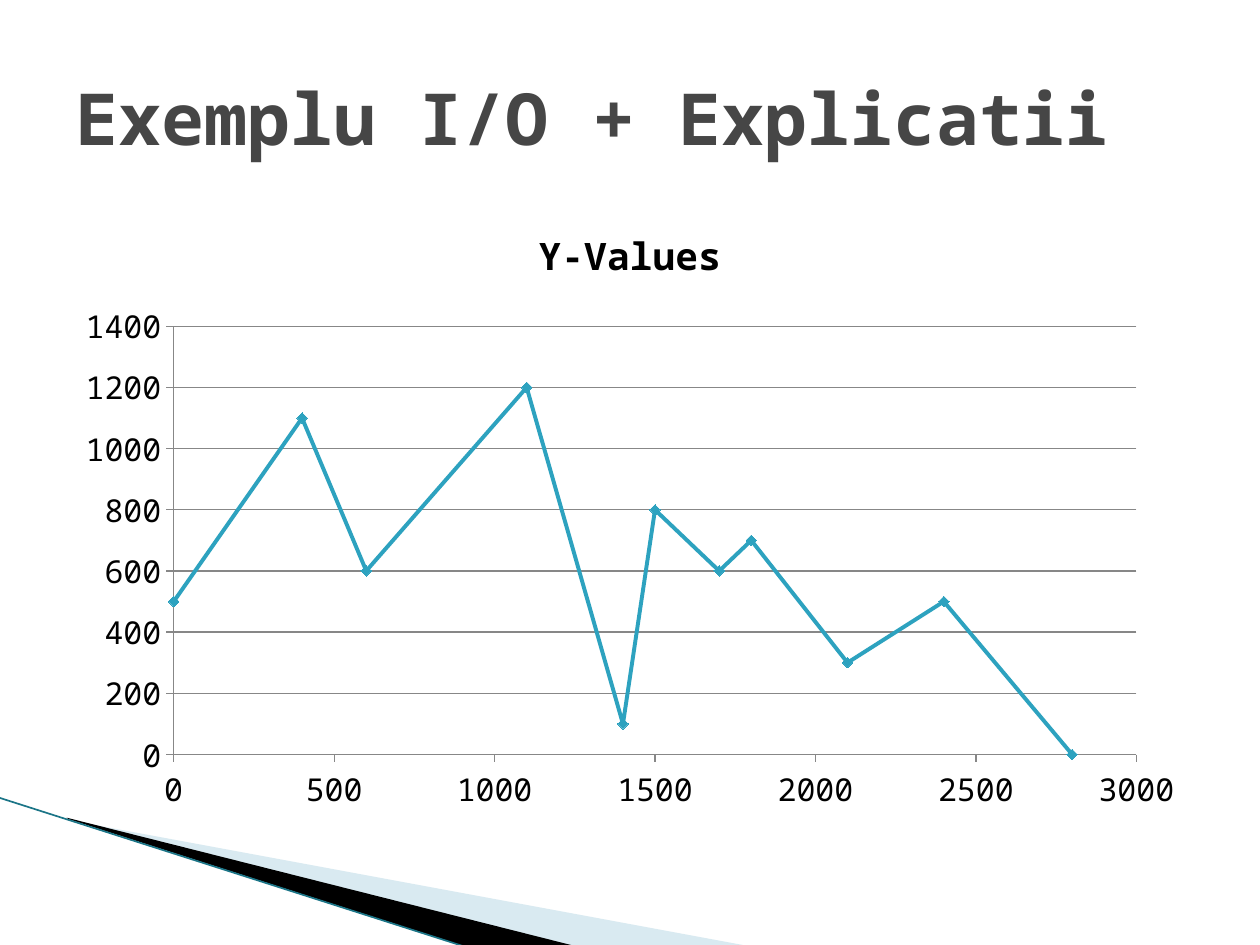
import pptx
import pptx.util
import pptx.chart.data
import pptx.dml.color
import pptx.enum.chart
import pptx.enum.text
import lxml.etree

Inches, Pt = pptx.util.Inches, pptx.util.Pt
RGB = pptx.dml.color.RGBColor.from_string
A = "{http://schemas.openxmlformats.org/drawingml/2006/main}"
THEME = {
    "font": "Noto Sans Mono", "title": "464646", "text": "000000",
    "pale": "A0CBDC", "dark": "000000", "edge": "1B7587",
    "series": "2DA2BF", "grid": "878787",
    "title_size": 41, "chart_title_size": 21.6, "chart_size": 18,
}


def style_font(font, size, color, bold=False):
    font.name = THEME["font"]
    font.size = Pt(size)
    font.bold = bold
    font.color.rgb = RGB(color)


prs = pptx.Presentation()
prs.slide_width, prs.slide_height = Inches(10), Inches(7.5)
s = prs.slides.add_slide(prs.slide_layouts[5])

wedges = [
    ("pale", 40, [(0.55, 6.51), (5.95, 7.51), (4.56, 7.51), (0.55, 6.5)]),
    ("dark", 100, [(0.53, 6.49), (4.57, 7.51), (3.72, 7.52), (0.54, 6.5)]),
]
for color, opacity, points in wedges:
    corners = [(Inches(x), Inches(y)) for x, y in points]
    outline = s.shapes.build_freeform(*corners[0])
    outline.add_line_segments(corners[1:], close=True)
    sp = outline.convert_to_shape()
    sp.shadow.inherit = False
    sp.fill.solid()
    sp.fill.fore_color.rgb = RGB(THEME[color])
    sp.line.fill.background()
    if opacity < 100:
        fill = sp._element.spPr.find(f"{A}solidFill/{A}srgbClr")
        lxml.etree.SubElement(fill, f"{A}alpha", val=str(opacity * 1000))

edge = s.shapes.add_connector(1, Inches(-0.01), Inches(6.33), Inches(3.71), Inches(7.52))
edge.line.color.rgb = RGB(THEME["edge"])
edge.line.width = Pt(0.95)
lxml.etree.SubElement(edge._element.spPr, f"{A}effectLst")

title = s.shapes.title
title.left, title.top, title.width, title.height = map(Inches, (0.5, 0.3, 9, 1.25))
tf = title.text_frame
tf.text = "Exemplu I/O + Explicatii"
tf.vertical_anchor = pptx.enum.text.MSO_ANCHOR.MIDDLE
p = tf.paragraphs[0]
p.alignment = pptx.enum.text.PP_ALIGN.LEFT
style_font(p.runs[0].font, THEME["title_size"], THEME["title"], True)

data = pptx.chart.data.XyChartData()
points = data.add_series("Y-Values")
for x, y in [(0, 500), (400, 1100), (600, 600), (1100, 1200), (1400, 100), (1500, 800),
             (1700, 600), (1800, 700), (2100, 300), (2400, 500), (2800, 0)]:
    points.add_data_point(x, y)
chart = s.shapes.add_chart(
    pptx.enum.chart.XL_CHART_TYPE.XY_SCATTER_LINES,
    Inches(0.5), Inches(1.58), Inches(9), Inches(4.95), data).chart
style_font(chart.font, THEME["chart_size"], THEME["text"])
chart.has_legend = False
chart.has_title = True
tf = chart.chart_title.text_frame
tf.text = "Y-Values"
style_font(tf.paragraphs[0].runs[0].font, THEME["chart_title_size"], THEME["text"], True)
chart.chart_title.include_in_layout = False

for axis, top, step in [(chart.category_axis, 3000, 500), (chart.value_axis, 1400, 200)]:
    axis.minimum_scale, axis.maximum_scale, axis.major_unit = 0, top, step
    axis.major_tick_mark = pptx.enum.chart.XL_TICK_MARK.OUTSIDE
    axis.minor_tick_mark = pptx.enum.chart.XL_TICK_MARK.NONE
    axis.format.line.color.rgb = RGB(THEME["grid"])
    axis.format.line.width = Pt(0.75)
chart.category_axis.has_major_gridlines = False
chart.value_axis.has_major_gridlines = True
grid = chart.value_axis.major_gridlines.format.line
grid.color.rgb = RGB(THEME["grid"])
grid.width = Pt(0.75)

plot = chart.plots[0]
plot.vary_by_categories = False
series = plot.series[0]
series.smooth = False
series.format.line.color.rgb = RGB(THEME["series"])
series.format.line.width = Pt(2.25)
marker = series.marker
marker.style = pptx.enum.chart.XL_MARKER_STYLE.DIAMOND
marker.size = 6
marker.format.fill.solid()
marker.format.fill.fore_color.rgb = RGB(THEME["series"])
marker.format.line.color.rgb = RGB(THEME["series"])

prs.save("out.pptx")
